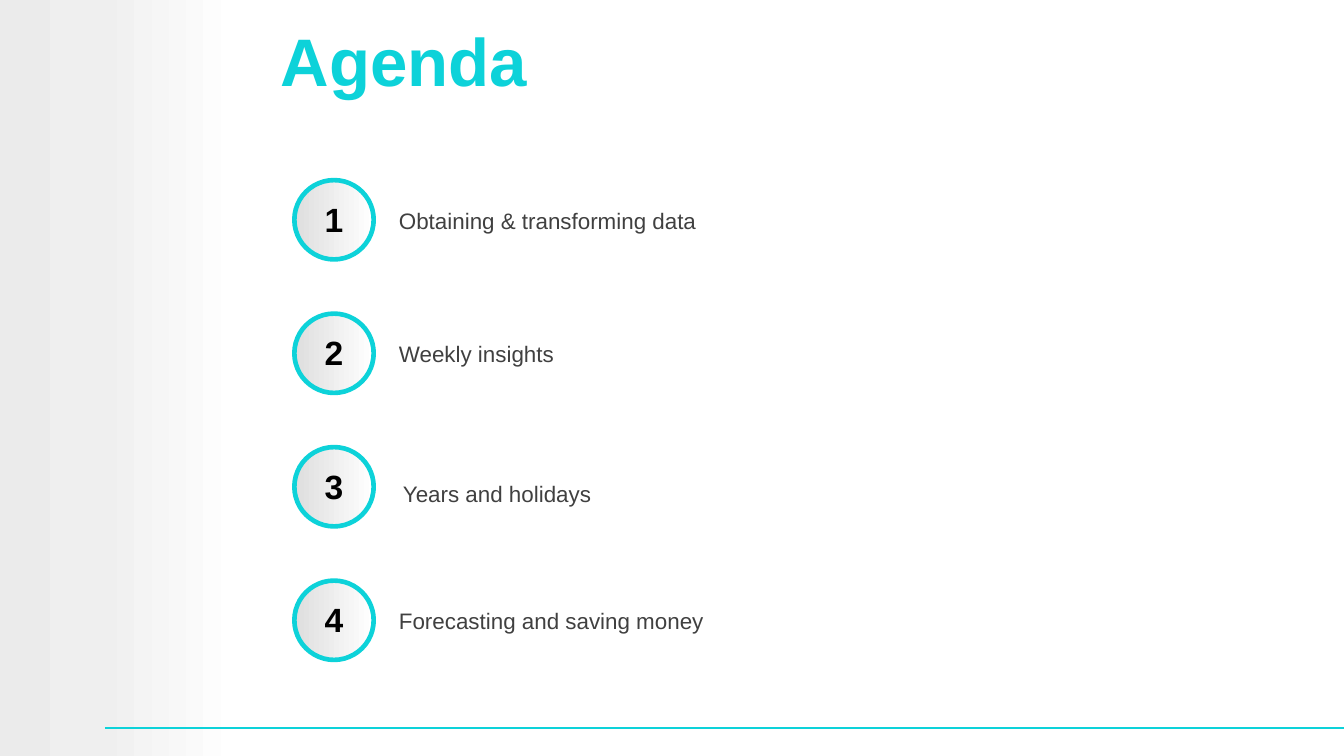
from lxml.etree import SubElement
from pptx import Presentation
from pptx.dml.color import RGBColor
from pptx.enum.shapes import MSO_CONNECTOR, MSO_SHAPE
from pptx.enum.text import MSO_ANCHOR, PP_ALIGN
from pptx.oxml.ns import qn
from pptx.util import Inches, Pt

TEAL = "0DD2D9"
WIDTH = 10
HEIGHT = WIDTH * 9 / 16
# Label of each item, with its shift right and down from the regular grid
ITEMS = [
    ("Obtaining & transforming data", 0, 0),
    ("Weekly insights", 0, 0),
    ("Years and holidays", 0.03, 0.05),
    ("Forecasting and saving money", 0, 0),
]


def color(code):
    return RGBColor.from_string(code)


def box(left, top, width, height):
    return [Inches(n) for n in (left, top, width, height)]


def add_shade(shapes, kind, area, stops):
    """Add a shape whose fill runs left to right through (percent, colour) stops."""
    shape = shapes.add_shape(kind, *box(*area))
    shape.shadow.inherit = False
    shape.fill.gradient()
    shape.fill.gradient_angle = 0
    ramp = shape._element.spPr.find(qn("a:gradFill")).find(qn("a:gsLst"))
    for old in list(ramp):
        ramp.remove(old)
    for place, code in stops:
        stop = SubElement(ramp, qn("a:gs"), pos=str(place * 1000))
        SubElement(stop, qn("a:srgbClr"), val=code)
    return shape


def add_text(shapes, area, text, size, code, bold=False,
             align=PP_ALIGN.LEFT, anchor=MSO_ANCHOR.TOP):
    frame = shapes.add_textbox(*box(*area)).text_frame
    frame.word_wrap = True
    frame.vertical_anchor = anchor
    line = frame.paragraphs[0]
    line.text = text
    line.alignment = align
    font = line.font
    font.name, font.size, font.bold = "Arial", Pt(size), bold
    font.color.rgb = color(code)
    return frame


def add_frame(slide):
    """Add the shaded side band and the line along the foot."""
    band = add_shade(slide.shapes, MSO_SHAPE.RECTANGLE, (0, 0, 1.77, HEIGHT),
                     [(0, "EBEBEB"), (42, "EFEFEF"), (100, "FFFFFF")])
    band.line.fill.background()
    rule = slide.shapes.add_connector(
        MSO_CONNECTOR.STRAIGHT, *box(0.78, 5.42, WIDTH, 5.42))
    rule.line.color.rgb = color(TEAL)
    rule.line.width = Pt(1)
    SubElement(rule._element.spPr, qn("a:effectLst"))


def add_title(slide, left, top, width, height):
    frame = add_text(slide.shapes, (left, top, width, height), "Agenda", 36,
                     TEAL, bold=True, anchor=MSO_ANCHOR.MIDDLE)
    frame.margin_left = Inches(0.36)


def add_badge(slide, left, top, size, number):
    group = slide.shapes.add_group_shape()
    disc = add_shade(group.shapes, MSO_SHAPE.OVAL, (left, top, size, size),
                     [(0, "DEDEDE"), (100, "FFFFFF")])
    disc.line.color.rgb = color(TEAL)
    disc.line.width = Pt(2.5)
    add_text(group.shapes, (left + 0.1, top + 0.09, size - 0.2, 0.4),
             str(number), 18, "000000", bold=True,
             align=PP_ALIGN.CENTER, anchor=MSO_ANCHOR.MIDDLE)


def add_agenda(slide, left, top, height, items):
    size = 0.59
    step = (height - size) / (len(items) - 1)
    for i, (label, right, down) in enumerate(items):
        y = top + i * step
        add_badge(slide, left, y, size, i + 1)
        add_text(slide.shapes, (left + 0.68 + right, y + 0.15 + down, 3.83, 0.3),
                 label, 12, "404040")


def main():
    deck = Presentation()
    deck.slide_width, deck.slide_height = Inches(WIDTH), Inches(HEIGHT)
    slide = deck.slides.add_slide(deck.slide_layouts[6])
    add_frame(slide)
    add_title(slide, 1.73, 0.02, 8.27, 0.85)
    add_agenda(slide, 2.19, 1.34, 3.57, ITEMS)
    deck.save("out.pptx")


if __name__ == "__main__":
    main()
